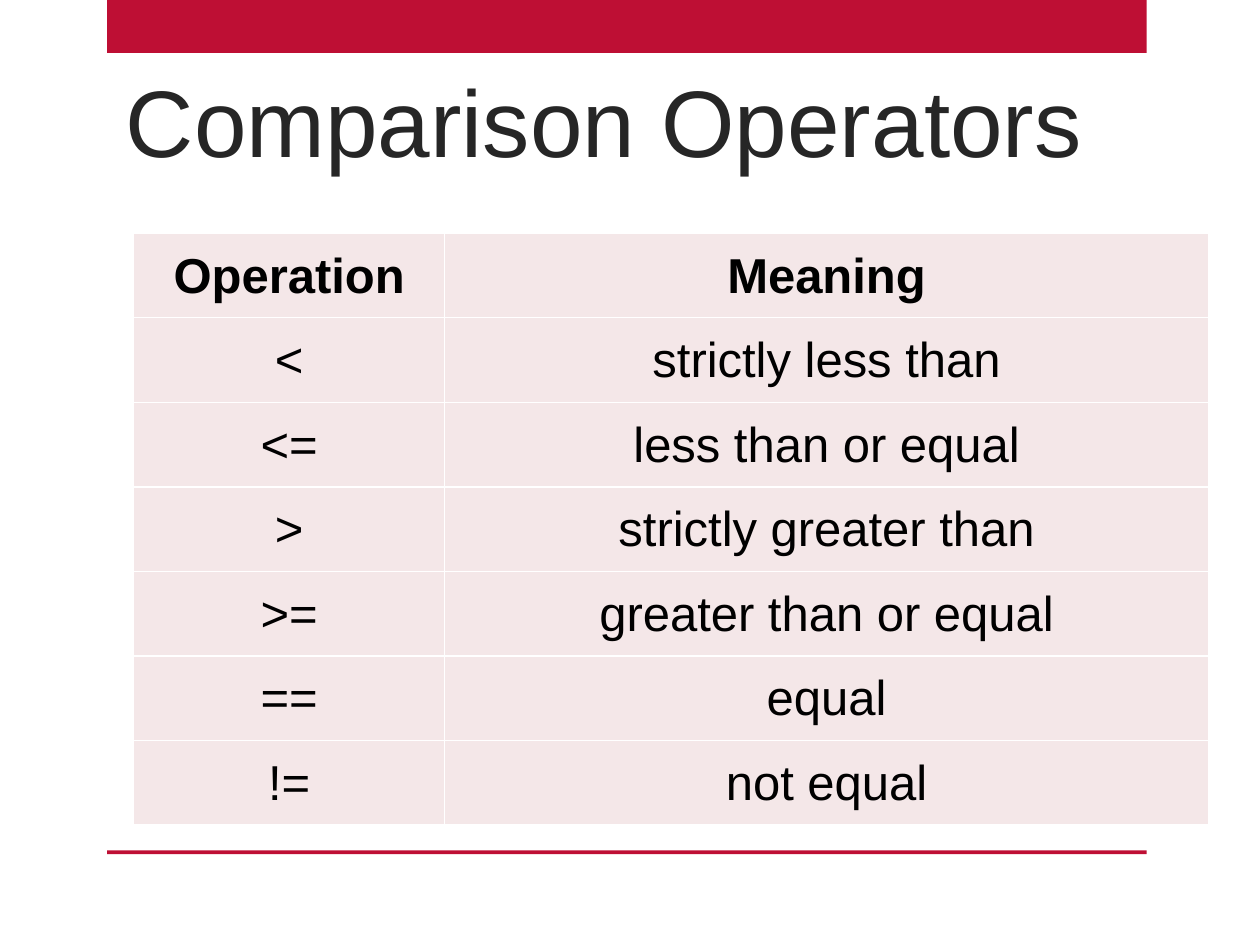
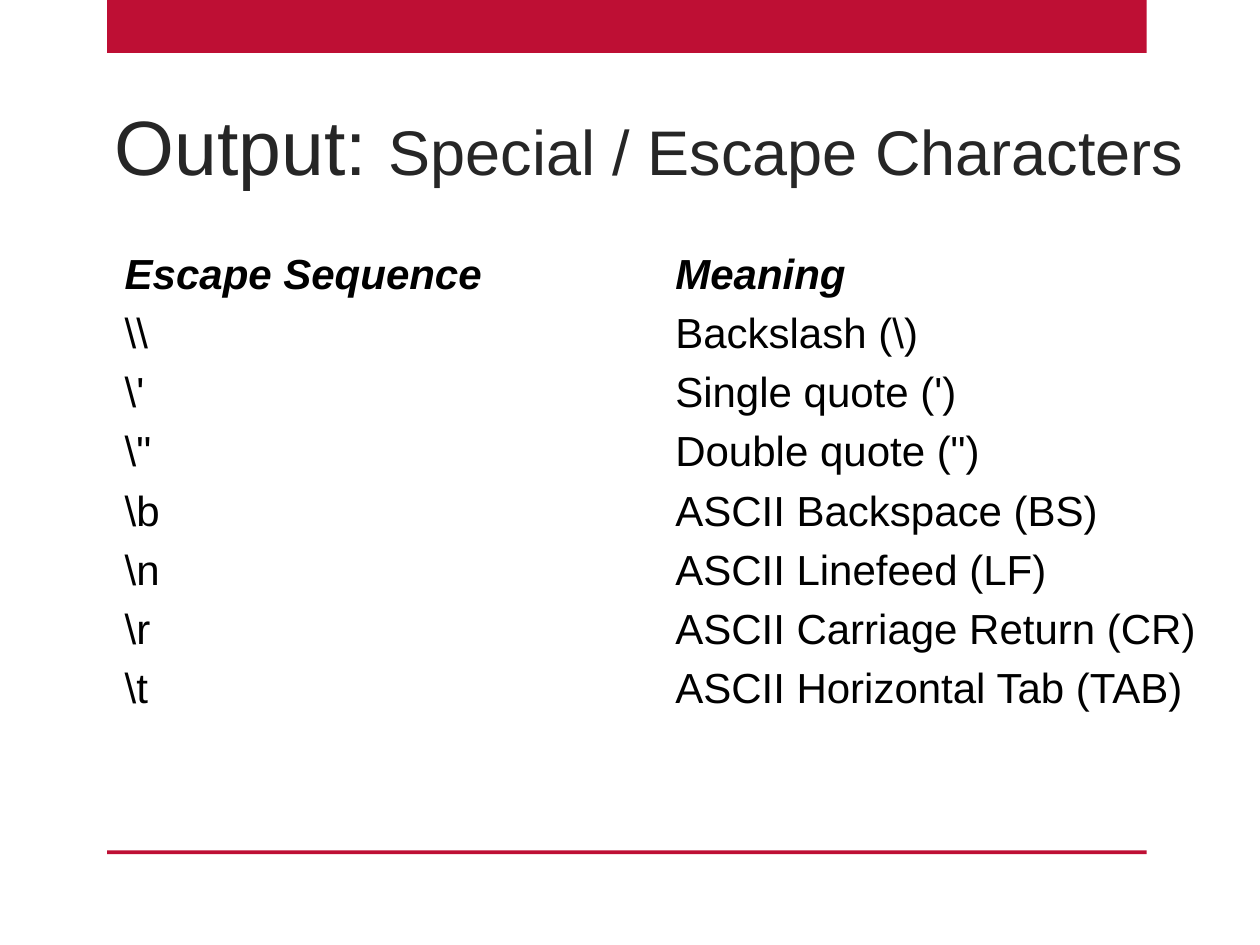
from lxml.etree import SubElement
from pptx import Presentation
from pptx.dml.color import RGBColor
from pptx.enum.shapes import MSO_SHAPE
from pptx.enum.text import MSO_ANCHOR, PP_ALIGN
from pptx.oxml.ns import qn
from pptx.util import Inches, Pt

COLORS = {
    "band": "BE0F34",
    "title": "262626",
    "text": "000000",
    "cell": "F4E7E8",
    "border": "FFFFFF",
}
FONT = "Arial"


def add_page(deck, left, top, title_spans):
    page = deck.slides.add_slide(deck.slide_layouts[6])
    for band_top, band_height in [(0, 0.42), (6.75, 0.03)]:
        band = page.shapes.add_shape(
            MSO_SHAPE.RECTANGLE, Inches(0.85), Inches(band_top), Inches(8.25), Inches(band_height)
        )
        band.shadow.inherit = False
        band.fill.solid()
        band.fill.fore_color.rgb = RGBColor.from_string(COLORS["band"])
        band.line.fill.background()
    box = page.shapes.add_textbox(Inches(left), Inches(top), Inches(11.5), Inches(1.45))
    frame = box.text_frame
    frame.word_wrap = True
    frame.margin_left = Inches(0.08)
    frame.margin_top = Inches(0.1)
    para = frame.paragraphs[0]
    para.font.name = FONT
    para.font.color.rgb = RGBColor.from_string(COLORS["title"])
    for text, size in title_spans:
        span = para.add_run()
        span.text = text
        span.font.size = Pt(size)
    return page


def add_grid(page, rows, left, top, widths, height, size, margins, align, italic_header=False, fill=None):
    table = page.shapes.add_table(
        len(rows), len(widths), Inches(left), Inches(top), Inches(sum(widths)), Inches(height)
    ).table
    table.first_row = False
    table.horz_banding = False
    for column, width in zip(table.columns, widths):
        column.width = Inches(width)
    for row_index, texts in enumerate(rows):
        table.rows[row_index].height = Inches(height / len(rows))
        for column_index, text in enumerate(texts):
            cell = table.cell(row_index, column_index)
            cell.text = text
            cell.vertical_anchor = MSO_ANCHOR.MIDDLE
            cell.margin_left, cell.margin_top, cell.margin_right, cell.margin_bottom = map(Inches, margins)
            para = cell.text_frame.paragraphs[0]
            para.alignment = align
            para.font.name = FONT
            para.font.size = Pt(size)
            para.font.bold = row_index == 0
            para.font.italic = italic_header and row_index == 0
            para.font.color.rgb = RGBColor.from_string(COLORS["text"])
            properties = cell._tc.get_or_add_tcPr()
            for side in ("lnL", "lnR", "lnT", "lnB"):
                line = SubElement(properties, qn(f"a:{side}"), w=str(Pt(1) if fill else 0))
                if fill:
                    paint = SubElement(line, qn("a:solidFill"))
                    SubElement(paint, qn("a:srgbClr"), val=COLORS["border"])
                else:
                    SubElement(line, qn("a:noFill"))
            if fill:
                cell.fill.solid()
                cell.fill.fore_color.rgb = RGBColor.from_string(fill)
            else:
                cell.fill.background()


deck = Presentation()
deck.slide_width = Inches(10)
deck.slide_height = Inches(7.5)

comparison_page = add_page(deck, 0.92, 0.4, [("Comparison Operators", 54)])
operators = [
    ("Operation", "Meaning"),
    ("<", "strictly less than"),
    ("<=", "less than or equal"),
    (">", "strictly greater than"),
    (">=", "greater than or equal"),
    ("==", "equal"),
    ("!=", "not equal"),
]
add_grid(
    comparison_page, operators, 1.06, 1.85, [2.47, 6.06], 4.7, 28,
    (0.01, 0.01, 0.01, 0), PP_ALIGN.CENTER, fill=COLORS["cell"],
)

escape_page = add_page(deck, 0.83, 0.68, [("Output: ", 44), ("Special / Escape Characters", 36)])
escapes = [
    ("Escape Sequence", "Meaning"),
    (r"\\", r"Backslash (\)"),
    (r"\'", "Single quote (')"),
    (r'\"', 'Double quote (")'),
    (r"\b", "ASCII Backspace (BS)"),
    (r"\n", "ASCII Linefeed (LF)"),
    (r"\r", "ASCII Carriage Return (CR)"),
    (r"\t", "ASCII Horizontal Tab (TAB)"),
]
add_grid(
    escape_page, escapes, 0.91, 1.94, [4.37, 4.37], 3.65, 24,
    (0.08, 0.04, 0.08, 0.03), PP_ALIGN.LEFT, italic_header=True,
)

deck.save("out.pptx")
